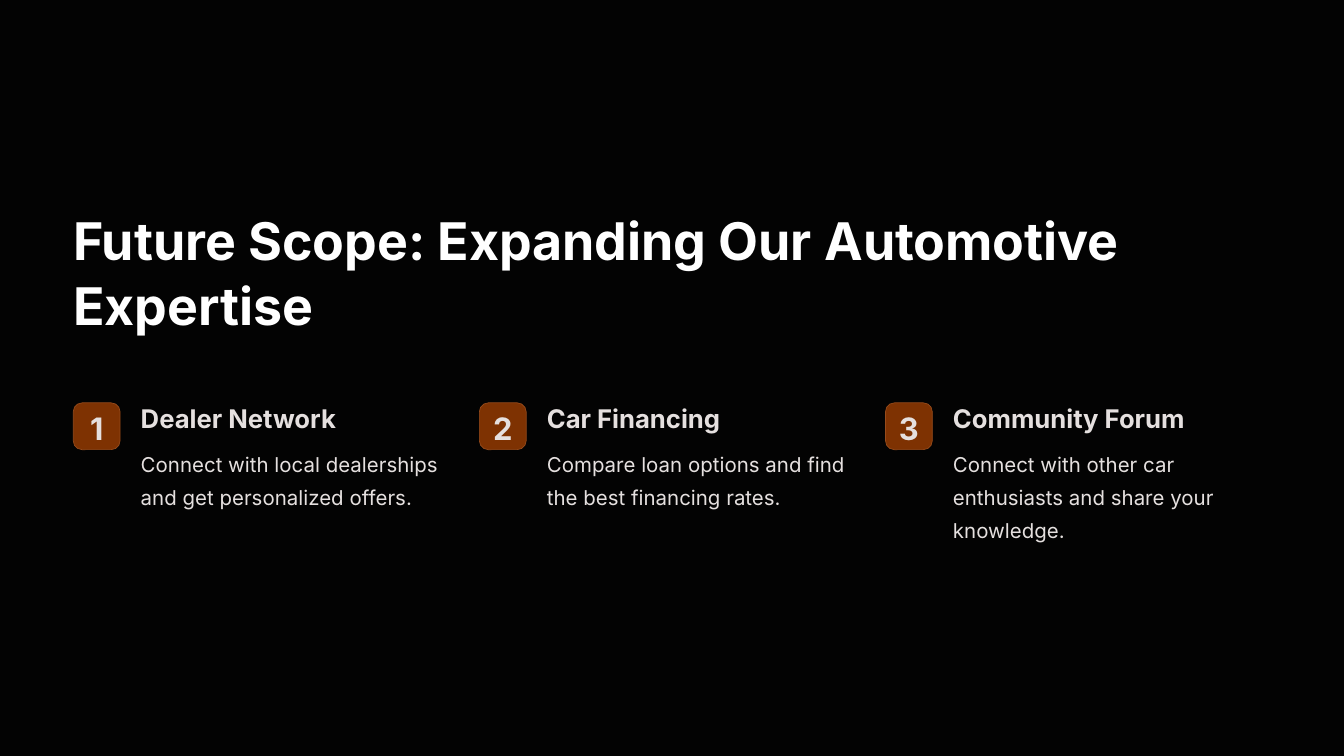
import pptx
import pptx.dml.color
import pptx.enum.shapes
import pptx.enum.text
import pptx.util
from pptx.util import Cm

LEFT = 2.77
COLUMN_PITCH = 15.35
TEXT_INDENT = 2.55
BADGE_SIZE = 1.77

ITEMS = [
    ("Dealer Network", "Connect with local dealerships and get personalized offers.", 2),
    ("Car Financing", "Compare loan options and find the best financing rates.", 2),
    ("Community Forum", "Connect with other car enthusiasts and share your knowledge.", 3),
]


def rgb(hex_color):
    return pptx.dml.color.RGBColor.from_string(hex_color)


class Deck:
    font = "Inter"
    background = "030303"
    title_color = "FFFFFF"
    text_color = "E5E0DF"
    badge_fill = "7E3202"
    badge_line = "974B1B"

    def __init__(self, width, height):
        self.prs = pptx.Presentation()
        self.prs.slide_width, self.prs.slide_height = Cm(width), Cm(height)
        self.s = None

    def add_slide(self):
        self.s = self.prs.slides.add_slide(self.prs.slide_layouts[6])
        fill = self.s.background.fill
        fill.solid()
        fill.fore_color.rgb = rgb(self.background)

    def set_text(self, sp, text, size, leading, color, bold, align, top=0):
        """Fill a shape with one paragraph at an exact line spacing."""
        tf = sp.text_frame
        tf.word_wrap = True
        tf.margin_left = tf.margin_right = tf.margin_bottom = 0
        tf.margin_top = Cm(top)
        tf.vertical_anchor = pptx.enum.text.MSO_ANCHOR.TOP
        p = tf.paragraphs[0]
        p.alignment = align
        p.line_spacing = pptx.util.Pt(leading)
        r = p.add_run()
        r.text = text
        r.font.name = self.font
        r.font.size = pptx.util.Pt(size)
        r.font.bold = bold
        r.font.color.rgb = rgb(color)

    def text(self, x, y, w, h, text, size, leading, color=text_color, bold=False):
        sp = self.s.shapes.add_textbox(Cm(x), Cm(y), Cm(w), Cm(h))
        self.set_text(sp, text, size, leading, color, bold, pptx.enum.text.PP_ALIGN.LEFT)

    def badge(self, x, y, text):
        sp = self.s.shapes.add_shape(
            pptx.enum.shapes.MSO_SHAPE.ROUNDED_RECTANGLE,
            Cm(x), Cm(y), Cm(BADGE_SIZE), Cm(BADGE_SIZE))
        sp.adjustments[0] = 0.19
        sp.shadow.inherit = False
        sp.fill.solid()
        sp.fill.fore_color.rgb = rgb(self.badge_fill)
        sp.line.color.rgb = rgb(self.badge_line)
        sp.line.width = pptx.util.Pt(0.75)
        self.set_text(sp, text, 33.1, 33.1, self.text_color, True,
                      pptx.enum.text.PP_ALIGN.CENTER, top=0.38)


def main():
    deck = Deck(50.8, 28.58)
    deck.add_slide()
    deck.text(LEFT, 7.8, 45.29, 4.98, "Future Scope: Expanding Our Automotive Expertise",
              55.6, 69.4, deck.title_color, bold=True)
    for i, (heading, body, lines) in enumerate(ITEMS):
        x = LEFT + i * COLUMN_PITCH
        deck.badge(x, 15.23, str(i + 1))
        deck.text(x + TEXT_INDENT, 15.19, 9.86, 1.27, heading, 27.5, 34.4, bold=True)
        deck.text(x + TEXT_INDENT, 16.76, 12.01, 1.32 * lines, body, 21.9, 35.6)
    deck.prs.save("out.pptx")


if __name__ == "__main__":
    main()
